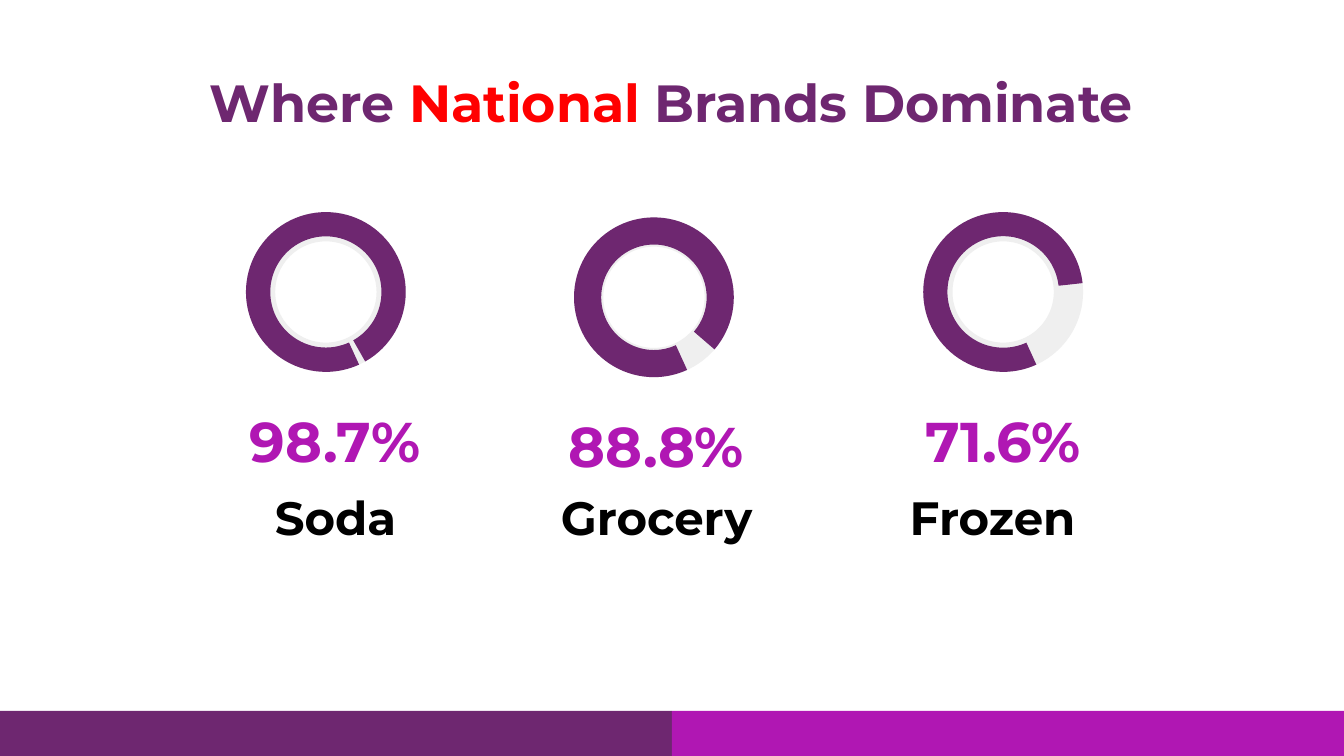
from pptx import Presentation
from pptx.dml.color import RGBColor
from pptx.enum.shapes import MSO_SHAPE as Preset
from pptx.enum.text import MSO_ANCHOR as Anchor, PP_ALIGN as Align
from pptx.util import Cm, Pt

PURPLE, MAGENTA, RED = "6E2770", "B017B3", "FF0000"
GREY, BLACK = "EFEFEF", "000000"
PAGE_WIDTH, PAGE_HEIGHT = 25.4, 14.29
BAR_TOP, BAR_HEIGHT = 13.44, 0.85
RING_SIZE, RING_WIDTH = 3.02, 0.183
ARC_START = 65.43
TEXT_WIDTH, TEXT_HEIGHT = 6.02, 1.8
LABEL_TOP, RING_TO_VALUE = 8.99, 3.41


def color(code):
    return RGBColor.from_string(code)


class Painter:
    """Draws styled elements on the current page."""

    def __init__(self, page, font="Montserrat"):
        self.page = page
        self.font = font

    def shape(self, preset, left, top, width, height, fill, adjustments=()):
        shape = self.page.shapes.add_shape(
            preset, Cm(left), Cm(top), Cm(width), Cm(height))
        shape.shadow.inherit = False
        shape.fill.solid()
        shape.fill.fore_color.rgb = color(fill)
        shape.line.fill.background()
        for index, value in enumerate(adjustments):
            shape.adjustments[index] = value

    def ring(self, left, top, arc_end, arc_width):
        area = (left, top, RING_SIZE, RING_SIZE)
        angles = [degrees * 0.6 for degrees in (ARC_START, arc_end)]
        self.shape(Preset.DONUT, *area, GREY, [RING_WIDTH])
        self.shape(Preset.BLOCK_ARC, *area, PURPLE, [*angles, arc_width])

    def text(self, left, top, width, spans, size, anchor=Anchor.TOP):
        box = self.page.shapes.add_textbox(
            Cm(left), Cm(top), Cm(width), Cm(TEXT_HEIGHT))
        frame = box.text_frame
        frame.word_wrap = True
        frame.vertical_anchor = anchor
        frame.margin_left = frame.margin_right = Cm(0.25)
        frame.margin_top = frame.margin_bottom = Cm(0.25)
        para = frame.paragraphs[0]
        para.alignment = Align.CENTER
        for words, code in spans:
            span = para.add_run()
            span.text = words
            span.font.name = self.font
            span.font.size = Pt(size)
            span.font.bold = True
            span.font.color.rgb = color(code)


def main():
    deck = Presentation()
    deck.slide_width, deck.slide_height = Cm(PAGE_WIDTH), Cm(PAGE_HEIGHT)
    painter = Painter(deck.slides.add_slide(deck.slide_layouts[6]))

    half = PAGE_WIDTH / 2
    for index, fill in enumerate((PURPLE, MAGENTA)):
        painter.shape(Preset.RECTANGLE, index * half, BAR_TOP, half, BAR_HEIGHT, fill)

    title = [("Where ", PURPLE), ("National", RED), (" Brands Dominate", PURPLE)]
    painter.text(1.98, 1.07, 21.41, title, 28)

    categories = [
        ("Soda", "98.7%", 4.65, 4.01, 60.5, 0.152, 3.33, 3.33),
        ("Grocery", "88.8%", 10.85, 4.11, 40.71, 0.17, 9.4, 9.4),
        ("Frozen", "71.6%", 17.45, 4.01, 353.61, 0.151, 15.95, 15.75),
    ]
    for name, share, left, top, arc_end, arc_width, share_left, name_left in categories:
        painter.ring(left, top, arc_end, arc_width)
        painter.text(share_left, top + RING_TO_VALUE, TEXT_WIDTH,
                     [(share, MAGENTA)], 30, Anchor.MIDDLE)
        painter.text(name_left, LABEL_TOP, TEXT_WIDTH, [(name, BLACK)], 25)

    deck.save("out.pptx")


if __name__ == "__main__":
    main()
